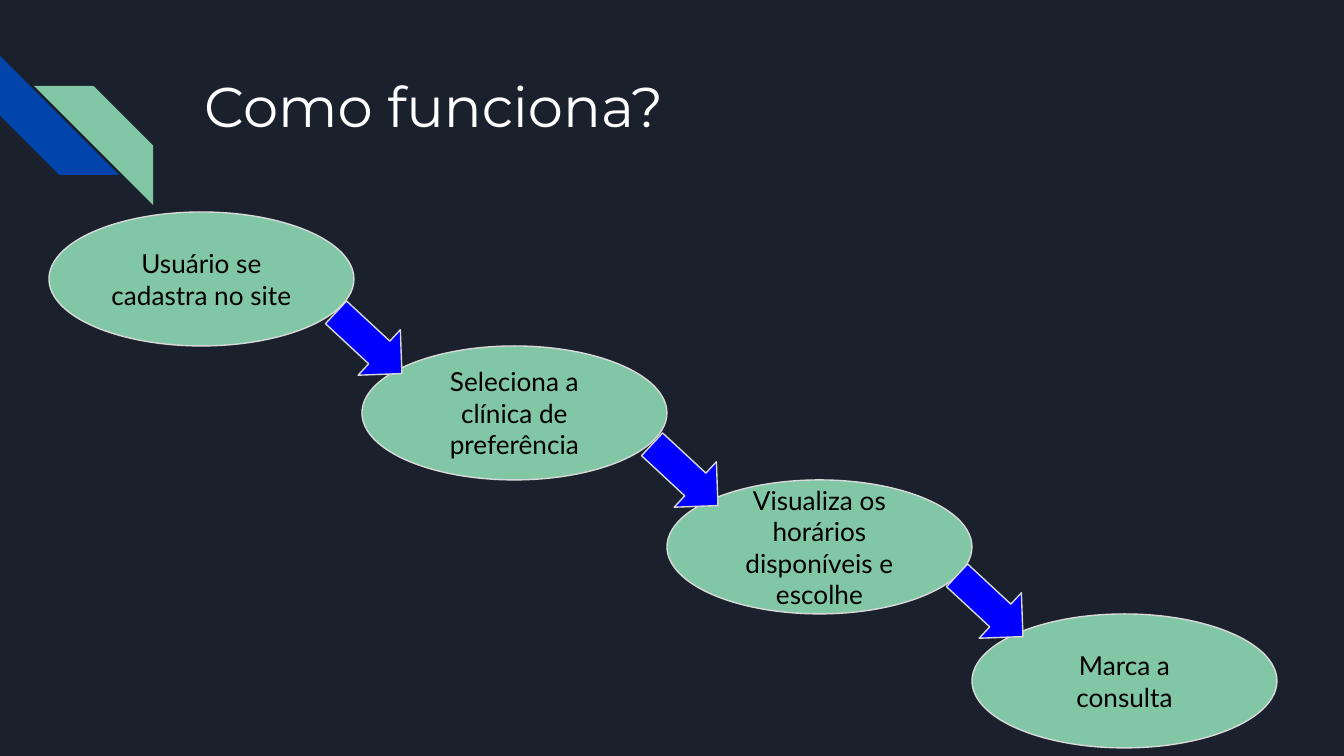
import pptx
import pptx.util
import pptx.dml.color
import pptx.enum.shapes
import pptx.enum.text

PX = 914400 / 134.4
NAVY = pptx.dml.color.RGBColor(0x1B, 0x21, 0x2C)
ROYAL = pptx.dml.color.RGBColor(0x01, 0x45, 0xAC)
MINT = pptx.dml.color.RGBColor(0x82, 0xC7, 0xA5)
BLUE = pptx.dml.color.RGBColor(0x00, 0x00, 0xFF)
GREY = pptx.dml.color.RGBColor(0xD9, 0xD9, 0xD9)
WHITE = pptx.dml.color.RGBColor(0xFF, 0xFF, 0xFF)
BLACK = pptx.dml.color.RGBColor(0x00, 0x00, 0x00)

KIND = pptx.enum.shapes.MSO_SHAPE
ALIGN = pptx.enum.text.PP_ALIGN
ANCHOR = pptx.enum.text.MSO_ANCHOR
INSET = pptx.util.Inches(0.1)
FRAME = {
    "word_wrap": True,
    "margin_left": INSET,
    "margin_top": INSET,
    "margin_right": INSET,
    "margin_bottom": INSET,
}
TITLE_FONT = {"name": "Montserrat", "size": pptx.util.Pt(30)}
STEP_FONT = {"name": "Lato", "size": pptx.util.Pt(14)}

STEPS = [
    ("Usuário se cadastra no site", 0, (275, 100)),
    ("Seleciona a clínica de preferência", 313, (278, 98)),
    ("Visualiza os horários disponíveis e escolhe", 618, (278, 95)),
    ("Marca a consulta", 923, None),
]


def emu(*lengths):
    return [pptx.util.Emu(round(length * PX)) for length in lengths]


def apply(target, values):
    for key, value in values.items():
        setattr(target, key, value)


def write(holder, text, font, color, align, anchor):
    frame = holder.text_frame
    apply(frame, {**FRAME, "vertical_anchor": anchor})
    paragraph = frame.paragraphs[0]
    paragraph.alignment = align
    run = paragraph.add_run()
    run.text = text
    apply(run.font, font)
    run.font.color.rgb = color


def add_figure(slide, kind, box, fill, outline=None, rotation=0):
    figure = slide.shapes.add_shape(kind, *emu(*box))
    figure.shadow.inherit = False
    figure.rotation = rotation
    figure.fill.solid()
    figure.fill.fore_color.rgb = fill
    if outline is None:
        figure.line.fill.background()
    else:
        figure.line.color.rgb = outline
        figure.line.width = pptx.util.Pt(0.75)
    return figure


def draw_corner_stripes(slide, left, top, size):
    for dx, dy, color, rotation in ((0, 0, ROYAL, 270), (34, 30, MINT, 90)):
        box = (left + dx, top + dy, size, size)
        add_figure(slide, KIND.DIAGONAL_STRIPE, box, color, rotation=rotation)


def draw_title(slide, left, top, width, height):
    title = slide.shapes.add_textbox(*emu(left, top, width, height))
    write(title, "Como funciona?", TITLE_FONT, WHITE, ALIGN.LEFT, ANCHOR.TOP)


def draw_staircase(slide, left, top, width, height):
    step_width, step_height = 305, height // len(STEPS)
    arrows = []
    for index, (text, dx, arrow_offset) in enumerate(STEPS):
        x, y = left + dx, top + index * step_height
        step = add_figure(slide, KIND.OVAL, (x, y, step_width, step_height), MINT, GREY)
        write(step, text, STEP_FONT, BLACK, ALIGN.CENTER, ANCHOR.MIDDLE)
        if arrow_offset:
            arrows.append((x + arrow_offset[0], y + arrow_offset[1], 90, 62))
    for arrow in arrows:
        add_figure(slide, KIND.RIGHT_ARROW, arrow, BLUE, GREY, rotation=42.9)


def main():
    deck = pptx.Presentation()
    deck.slide_width, deck.slide_height = emu(1344, 756)
    slide = deck.slides.add_slide(deck.slide_layouts[6])
    slide.background.fill.solid()
    slide.background.fill.fore_color.rgb = NAVY
    draw_corner_stripes(slide, 0, 56, 119)
    draw_title(slide, 191, 58, 1035, 134)
    draw_staircase(slide, 49, 212, 1228, 536)
    deck.save("out.pptx")


if __name__ == "__main__":
    main()
